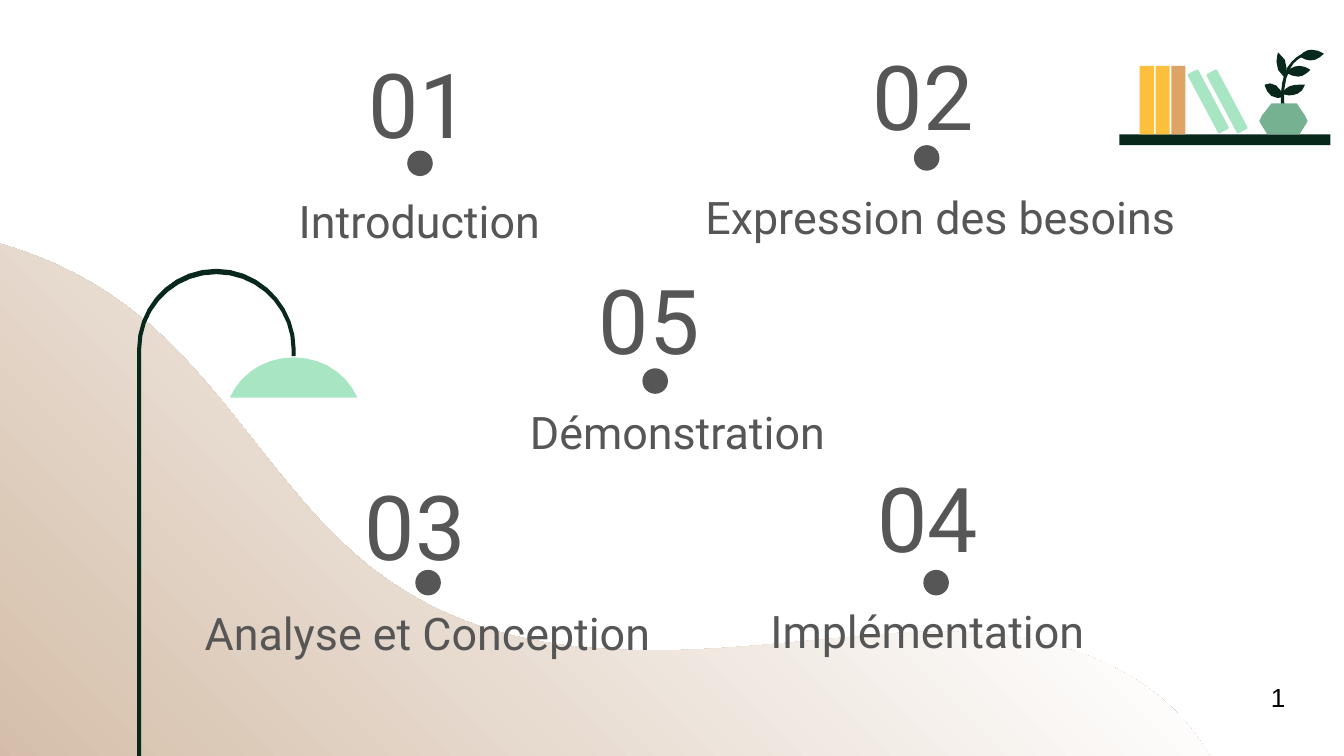
from dataclasses import dataclass
from math import dist, sqrt

from pptx import Presentation
from pptx.dml.color import RGBColor
from pptx.enum.shapes import MSO_SHAPE
from pptx.enum.text import MSO_ANCHOR, PP_ALIGN
from pptx.util import Inches, Pt

CELL = Inches(0.01)
COLUMNS, ROWS = 1000, 562.5


@dataclass(frozen=True)
class Theme:
    """Colours, fonts and type sizes of the slide."""
    ink: str = "565656"
    dark: str = "08281B"
    mint: str = "A8E5C3"
    sage: str = "76B191"
    yellow: str = "FDC03D"
    tan: str = "DDA466"
    sand: str = "C09F80"
    white: str = "FFFFFF"
    black: str = "000000"
    font: str = "Roboto"
    page_font: str = "Arial"
    number_size: int = 48
    label_size: int = 24
    page_size: int = 14


@dataclass(frozen=True)
class Topic:
    """A numbered topic; dot and label are offsets from its box."""
    number: str
    label: str
    box: tuple
    dot: tuple
    label_at: tuple
    label_width: int = 288


THEME = Theme()

TOPICS = [
    Topic("01", "Introduction", (216, 45, 192, 63), (87, 67), (-48, 89)),
    Topic("02", "Expression des besoins", (591, 39, 192, 63), (89, 69), (-99, 92), 415),
    Topic("03", "Analyse et Conception", (213, 359, 192, 63), (96, 65), (-95, 82), 400),
    Topic("04", "Implémentation", (594, 353, 192, 63), (93, 71), (-48, 86)),
    Topic("05", "Démonstration", (387, 206, 192, 63), (91, 68), (-27, 85)),
]

WAVE = [
    (173, 0), (255, 0, 338, 15, 403, 65), (483, 125, 525, 228, 612, 278),
    (667, 311, 730, 320, 793, 320), (846, 320, 901, 313, 952, 309),
    (970, 307, 988, 306, 1006, 306), (1061, 306, 1116, 316, 1160, 347),
    (1204, 378, 1222, 421, 1236, 471), (1239, 481, 1261, 542, 1240, 542),
    (6, 536), (0, 29), (35, 11, 75, 5, 115, 2), (134, 1, 153, 0, 173, 0),
]

LAMP_ARM = [
    (59, 0), (26, 0, 0, 27, 0, 60), (0, 385), (3, 385), (3, 60),
    (3, 29, 28, 4, 59, 4), (90, 4, 115, 29, 115, 60), (115, 65), (118, 65),
    (118, 60), (118, 27, 91, 0, 59, 0),
]
LAMP_SHADE = [
    (116.5, 66), (95, 66, 77, 78, 69, 96), (164, 96), (156, 78, 138, 66, 116.5, 66),
]

STEM = [
    (37, 1), (30, 3, 25, 7, 21, 13), (16, 22, 16, 33, 16, 41),
    (17, 47, 18, 52, 19, 57), (21, 57), (21, 56, 14, 30, 23, 14),
    (26, 8, 31, 5, 38, 3),
]
LEAVES = [
    [(4, 26), (4, 26, 6, 36, 14, 36), (18, 35), (18, 35, 15, 25, 8, 25)],
    [(30, 26), (25, 26, 19, 27, 17, 33), (22, 34), (26, 34, 32, 33, 34, 26)],
    [(14, 2), (14, 2, 9, 14, 19, 21), (19, 21, 24, 8, 14, 2)],
    [(30, 12), (27, 12, 23, 13, 20, 17), (20, 17, 24, 20, 29, 20),
     (32, 20, 35, 18, 38, 15), (38, 15, 34, 12, 30, 12)],
    [(39, 0), (36, 0, 33, 1, 30, 5), (30, 5, 34, 8, 38, 8),
     (42, 8, 45, 6, 48, 3), (48, 3, 44, 0, 39, 0)],
]
POT = [
    (9, 40), (2, 49), (0, 53), (1, 55), (6, 63), (30, 63), (35, 55),
    (36, 53), (34, 49), (28, 40),
]


def cells(*lengths):
    """Turn grid cells into slide units."""
    return [round(length * CELL) for length in lengths]


def paint(shape, colour):
    """Give a shape a flat fill without line or shadow."""
    shape.shadow.inherit = False
    shape.line.fill.background()
    shape.fill.solid()
    shape.fill.fore_color.rgb = RGBColor.from_string(colour)
    return shape


def add_preset(slide, preset, box, colour):
    """Add a painted preset shape in a grid box."""
    return paint(slide.shapes.add_shape(preset, *cells(*box)), colour)


def flatten(outline):
    """Turn line and cubic curve steps into points, more for longer curves."""
    points = [outline[0]]
    for step in outline[1:]:
        if len(step) == 2:
            points.append(step)
            continue
        knots = [points[-1], step[:2], step[2:4], step[4:]]
        pieces = max(2, round(sqrt(dist(knots[0], knots[-1]))))
        for index in range(1, pieces + 1):
            t = index / pieces
            weights = ((1 - t) ** 3, 3 * t * (1 - t) ** 2, 3 * t * t * (1 - t), t ** 3)
            points.append(tuple(
                sum(w * knot[axis] for w, knot in zip(weights, knots))
                for axis in (0, 1)))
    return points


def add_outline(slide, origin, outline, colour):
    """Add a painted freeform whose steps are measured from the origin."""
    left, top = origin
    points = [cells(left + x, top + y) for x, y in flatten(outline)]
    builder = slide.shapes.build_freeform(*points[0], scale=1.0)
    builder.add_line_segments(points[1:], close=True)
    return paint(builder.convert_to_shape(), colour)


def add_words(slide, box, words, font, size, colour, anchor=MSO_ANCHOR.TOP):
    """Add one centred line of text in a grid box."""
    frame = slide.shapes.add_textbox(*cells(*box)).text_frame
    frame.word_wrap = True
    frame.vertical_anchor = anchor
    frame.text = words
    line = frame.paragraphs[0]
    line.alignment = PP_ALIGN.CENTER
    line.font.name = font
    line.font.size = Pt(size)
    line.font.color.rgb = RGBColor.from_string(colour)
    return frame


def add_wave(slide, origin):
    """Draw the sand wave that fades towards the upper right."""
    fill = add_outline(slide, origin, WAVE, THEME.sand).fill
    fill.gradient()
    fill.gradient_angle = 45
    stops = zip(fill.gradient_stops, (0, 0.78), (THEME.sand, THEME.white))
    for stop, position, colour in stops:
        stop.position = position
        stop.color.rgb = RGBColor.from_string(colour)


def add_topic(slide, topic):
    """Place a topic's number, dot and label."""
    left, top, _, height = topic.box
    dot_x, dot_y = topic.dot
    label_x, label_y = topic.label_at
    number = add_words(slide, topic.box, topic.number, THEME.font, THEME.number_size,
                       THEME.ink, MSO_ANCHOR.MIDDLE)
    label = add_words(slide, (left + label_x, top + label_y, topic.label_width, height),
                      topic.label, THEME.font, THEME.label_size, THEME.ink)
    for frame in (number, label):
        frame.margin_top = frame.margin_bottom = Inches(0.1)
    add_preset(slide, MSO_SHAPE.OVAL, (left + dot_x, top + dot_y, 19, 19), THEME.ink)


def add_lamp(slide, origin):
    """Draw the arched lamp."""
    add_outline(slide, origin, LAMP_ARM, THEME.dark)
    add_outline(slide, origin, LAMP_SHADE, THEME.mint)


def add_shelf(slide, box):
    """Draw the shelf with its books and plant."""
    left, top, width, height = box
    board = top + height - 8
    add_preset(slide, MSO_SHAPE.RECTANGLE, (left, board, width, 8), THEME.dark)
    for index, colour in enumerate((THEME.yellow, THEME.yellow, THEME.tan)):
        add_preset(slide, MSO_SHAPE.RECTANGLE,
                   (left + 15 + 11.75 * index, board - 51, 10.5, 51), colour)
    for index in range(2):
        book = add_preset(slide, MSO_SHAPE.ROUNDED_RECTANGLE,
                          (left + 61.5 + 14 * index, board - 49.5, 9, 50), THEME.mint)
        book.adjustments[0] = 0.15
        book.rotation = -28
    plant = (left + 104, top)
    for outline in [STEM, *LEAVES]:
        add_outline(slide, plant, outline, THEME.dark)
    add_outline(slide, plant, POT, THEME.sage)


def main():
    """Build and save the contents slide."""
    deck = Presentation()
    deck.slide_width, deck.slide_height = cells(COLUMNS, ROWS)
    slide = deck.slides.add_slide(deck.slide_layouts[6])
    add_wave(slide, (-307, 164))
    for topic in TOPICS:
        add_topic(slide, topic)
    add_lamp(slide, (102, 200))
    add_shelf(slide, (833, 37, 157, 71))
    add_words(slide, (929, 502, 44, 34), "1", THEME.page_font, THEME.page_size, THEME.black)
    deck.save("out.pptx")


if __name__ == "__main__":
    main()
